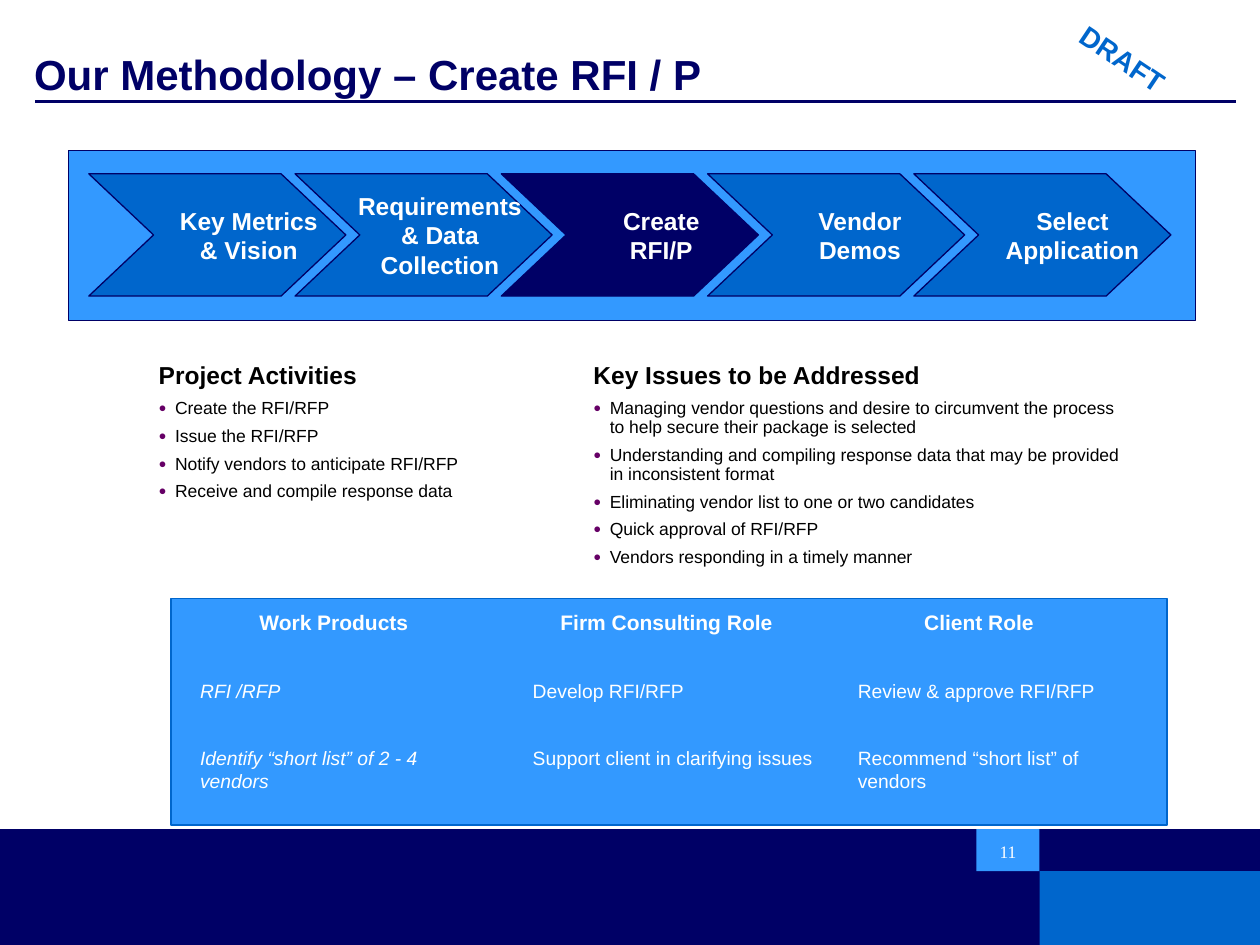
from lxml.etree import SubElement
from pptx import Presentation
from pptx.dml.color import RGBColor
from pptx.enum.shapes import MSO_CONNECTOR, MSO_SHAPE
from pptx.enum.text import MSO_ANCHOR, MSO_AUTO_SIZE, PP_ALIGN
from pptx.oxml.ns import qn
from pptx.util import Inches, Pt

COLORS = {
    "navy": "000066", "blue": "0066CC", "sky": "3399FF",
    "white": "FFFFFF", "black": "000000", "bullet": "660066",
}
COLUMNS, ROWS = 100, 75


class SlideBuilder:
    """Holds the style and the current slide; lengths are grid columns and rows."""

    font = "Arial"

    def __init__(self, deck, layout):
        self.deck = deck
        self.slide = deck.slides.add_slide(deck.slide_layouts[layout])

    def color(self, name):
        return RGBColor.from_string(COLORS[name])

    def area(self, column, row, width, height):
        across = self.deck.slide_width / COLUMNS
        down = self.deck.slide_height / ROWS
        return [round(v) for v in (column * across, row * down, width * across, height * down)]

    def frame(self, box, anchor=MSO_ANCHOR.TOP, wrap=True, insets=(0.1, 0.05, 0.1, 0.05)):
        frame = box.text_frame
        frame.auto_size = MSO_AUTO_SIZE.NONE
        frame.word_wrap = wrap
        frame.vertical_anchor = anchor
        (frame.margin_left, frame.margin_top,
         frame.margin_right, frame.margin_bottom) = map(Inches, insets)
        return frame

    def add_span(self, para, text, size, color, bold=False, italic=False, font=None):
        span = para.add_run()
        span.text = text
        span.font.name = font or self.font
        span.font.size = Pt(size)
        span.font.bold = bold
        span.font.italic = italic
        span.font.color.rgb = self.color(color)

    def lines(self, frame, texts, size, color, align=PP_ALIGN.LEFT, gap=0, **style):
        for index, text in enumerate(texts):
            para = frame.add_paragraph() if index else frame.paragraphs[0]
            para.alignment = align
            para.space_before = Pt(gap if index else 0)
            self.add_span(para, text, size, color, **style)

    def shape(self, kind, area, fill, line=None, weight=1):
        box = self.slide.shapes.add_shape(kind, *self.area(*area))
        box.shadow.inherit = False
        box.fill.solid()
        box.fill.fore_color.rgb = self.color(fill)
        if line:
            box.line.color.rgb = self.color(line)
            box.line.width = Pt(weight)
        else:
            box.line.fill.background()
        return box

    def rectangle(self, *args, **options):
        return self.shape(MSO_SHAPE.RECTANGLE, *args, **options)

    def chevron(self, area, fill, texts, shift):
        box = self.shape(MSO_SHAPE.CHEVRON, area, fill, "navy", 0.75)
        box.adjustments[0] = 0.53
        frame = self.frame(box, MSO_ANCHOR.MIDDLE, False, (2 * shift, 0.05, 0, 0.05))
        self.lines(frame, texts, 14, "white", PP_ALIGN.CENTER, bold=True)

    def text(self, area, texts, size, color, anchor=MSO_ANCHOR.MIDDLE, wrap=True,
             insets=(0.1, 0.05, 0.1, 0.05), **style):
        box = self.slide.shapes.add_textbox(*self.area(*area))
        self.lines(self.frame(box, anchor, wrap, insets), texts, size, color, **style)
        return box

    def rule(self, column, row, width, color, weight):
        left, top, length, _ = self.area(column, row, width, 0)
        line = self.slide.shapes.add_connector(
            MSO_CONNECTOR.STRAIGHT, left, top, left + length, top)
        line.line.color.rgb = self.color(color)
        line.line.width = Pt(weight)
        SubElement(line._element.spPr, qn("a:effectLst"))

    def place(self, box, area):
        box.left, box.top, box.width, box.height = self.area(*area)

    def title(self, area, text):
        box = self.slide.shapes.title
        self.place(box, area)
        frame = self.frame(box, MSO_ANCHOR.BOTTOM, insets=(0, 0, 0, 0))
        self.lines(frame, [text], 24, "navy", bold=True)
        frame.paragraphs[0].line_spacing = 0.9

    def bullet(self, para, shown):
        properties = para._p.get_or_add_pPr()
        properties.set("marL", str(Inches(0.13) if shown else 0))
        properties.set("indent", str(-Inches(0.13) if shown else 0))
        if not shown:
            SubElement(properties, qn("a:buNone"))
            return
        tint = SubElement(properties, qn("a:buClr"))
        SubElement(tint, qn("a:srgbClr"), val=COLORS["bullet"])
        SubElement(properties, qn("a:buSzPct"), val="75000")
        SubElement(properties, qn("a:buFont"), typeface=self.font)
        SubElement(properties, qn("a:buChar"), char="●")

    def bullet_list(self, index, area, heading, items):
        box = self.slide.placeholders[index]
        self.place(box, area)
        frame = self.frame(box)
        for position, text in enumerate([heading, *items]):
            para = frame.add_paragraph() if position else frame.paragraphs[0]
            self.bullet(para, position > 0)
            para.line_spacing = 0.9
            para.space_before = Pt(2.5 if position else 0)
            para.space_after = Pt(2.5 if position else 3.5)
            self.add_span(para, text, 10 if position else 14, "black", bold=not position)


def main():
    deck = Presentation()
    deck.slide_width, deck.slide_height = Inches(10), Inches(7.5)
    page = SlideBuilder(deck, layout=3)

    # Footer bands and page number
    page.rectangle((0, 65.8, 100, 9.2), "navy")
    page.rectangle((82.5, 69.15, 17.5, 5.85), "blue")
    page.rectangle((77.5, 65.8, 5, 3.35), "sky")
    page.text((77.5, 66.3, 5, 2.5), ["11"], 10, "white", insets=(0, 0, 0, 0),
              align=PP_ALIGN.CENTER, font="Times New Roman")

    # Title, rule and draft stamp
    page.title((2.7, 0, 95.6, 7.9), "Our Methodology – Create RFI / P")
    page.rule(2.8, 8.05, 95.3, "navy", 1.5)
    stamp = page.text((81.3, 3.3, 15.6, 2.7), ["DRAFT"], 16, "blue", insets=(0, 0, 0, 0),
                      align=PP_ALIGN.CENTER, bold=True)
    stamp.rotation = 33.8

    # Process chevrons: fill, label lines, label shift in inches
    page.rectangle((5.45, 11.95, 89.4, 13.5), "sky", line="navy", weight=0.5)
    steps = [
        ("blue", ["Key Metrics", "& Vision"], 0.25),
        ("blue", ["Requirements", "& Data", "Collection"], 0.13),
        ("navy", ["Create", "RFI/P"], 0.25),
        ("blue", ["Vendor", "Demos"], 0.19),
        ("blue", ["Select", "Application"], 0.24),
    ]
    for index, (fill, texts, shift) in enumerate(steps):
        page.chevron((7.05 + 16.37 * index, 13.8, 20.4, 9.7), fill, texts, shift)

    # Activities and issues
    page.bullet_list(1, (11.6, 28.3, 33.4, 18.5), "Project Activities", [
        "Create the RFI/RFP",
        "Issue the RFI/RFP",
        "Notify vendors to anticipate RFI/RFP",
        "Receive and compile response data",
    ])
    page.bullet_list(2, (46.1, 28.3, 44.6, 18.5), "Key Issues to be Addressed", [
        "Managing vendor questions and desire to circumvent the process "
        "to help secure their package is selected",
        "Understanding and compiling response data that may be provided in inconsistent format",
        "Eliminating vendor list to one or two candidates",
        "Quick approval of RFI/RFP",
        "Vendors responding in a timely manner",
    ])

    # Work products and roles: heading column, body column, texts
    page.rectangle((13.6, 47.5, 79, 18), "sky", line="blue")
    roles = [
        (14.1, 14.9, "Work Products", ["RFI /RFP", "Identify “short list” of 2 - 4 vendors"]),
        (40.5, 41.3, "Firm Consulting Role",
         ["Develop RFI/RFP", "Support client in clarifying issues"]),
        (65.3, 67.1, "Client Role",
         ["Review & approve RFI/RFP", "Recommend “short list” of vendors"]),
    ]
    for index, (heading_column, body_column, heading, texts) in enumerate(roles):
        page.text((heading_column, 47.9, 24.8, 3), [heading], 12, "white", wrap=False,
                  align=PP_ALIGN.CENTER, bold=True)
        page.text((body_column, 53.4, 24.7, 10.2), texts, 11, "white",
                  anchor=MSO_ANCHOR.TOP, gap=25.3, italic=index == 0)

    deck.save("out.pptx")


if __name__ == "__main__":
    main()
